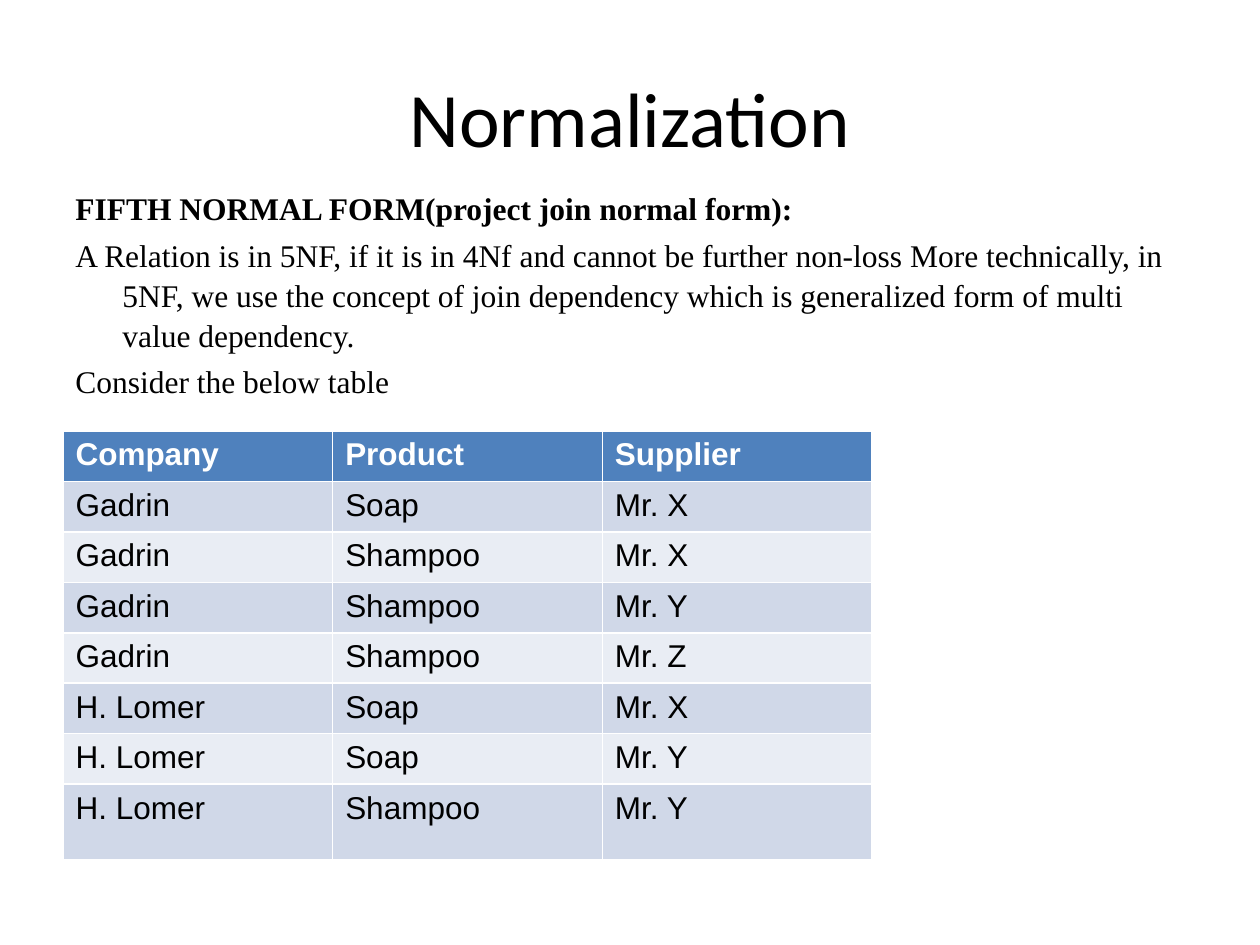
from dataclasses import dataclass

from pptx import Presentation
from pptx.dml.color import RGBColor
from pptx.enum.text import MSO_ANCHOR, PP_ALIGN
from pptx.util import Pt

PX = 914400 // 126
MIDDLE = MSO_ANCHOR.MIDDLE
CENTER = PP_ALIGN.CENTER


@dataclass(frozen=True)
class Theme:
    black = RGBColor.from_string("000000")
    white = RGBColor.from_string("FFFFFF")
    header = RGBColor.from_string("4F81BD")
    bands = (RGBColor.from_string("D0D8E8"), RGBColor.from_string("E9EDF4"))
    title_size = Pt(44)
    text_size = Pt(18)
    paragraph_gap = Pt(3.6)


theme = Theme()


def style_runs(para, name, size, color, bold=False):
    for span in para.runs:
        span.font.name = name
        span.font.size = size
        span.font.color.rgb = color
        span.font.bold = bold


def add_text_box(page, left, top, width, height):
    box = page.shapes.add_textbox(left * PX, top * PX, width * PX, height * PX)
    box.text_frame.word_wrap = True
    return box.text_frame


deck = Presentation()
deck.slide_width = 1260 * PX
deck.slide_height = 945 * PX
page = deck.slides.add_slide(deck.slide_layouts[6])

# Title
title = add_text_box(page, 63, 38, 1134, 158)
title.vertical_anchor = MIDDLE
title.text = "Normalization"
title.paragraphs[0].alignment = CENTER
style_runs(title.paragraphs[0], "Calibri", theme.title_size, theme.black)

# Definition, with hanging indents
definition = [
    "FIFTH NORMAL FORM(project join normal form):",
    "A Relation is in 5NF, if it is in 4Nf and cannot be further non-loss "
    "More technically, in 5NF, we use the concept of join dependency which is "
    "generalized form of multi value dependency.",
    "Consider the below table",
]
body = add_text_box(page, 63, 136, 1144, 756)
body.margin_top = 51 * PX
body.text = "\n".join(definition)
for index, para in enumerate(body.paragraphs):
    properties = para._p.get_or_add_pPr()
    properties.set("marL", str(47 * PX))
    properties.set("indent", str(-47 * PX))
    para.line_spacing = 1.06
    if index > 0:
        para.space_before = theme.paragraph_gap
    style_runs(para, "Times New Roman", theme.text_size, theme.black, bold=index == 0)

# Supply table
records = [
    ("Company", "Product", "Supplier"),
    ("Gadrin", "Soap", "Mr. X"),
    ("Gadrin", "Shampoo", "Mr. X"),
    ("Gadrin", "Shampoo", "Mr. Y"),
    ("Gadrin", "Shampoo", "Mr. Z"),
    ("H. Lomer", "Soap", "Mr. X"),
    ("H. Lomer", "Soap", "Mr. Y"),
    ("H. Lomer", "Shampoo", "Mr. Y"),
]
row_heights = [48] * 7 + [76]
table = page.shapes.add_table(
    len(records), 3, 63 * PX, 431 * PX, 809 * PX, sum(row_heights) * PX
).table
for row_index, record in enumerate(records):
    table.rows[row_index].height = row_heights[row_index] * PX
    is_header = row_index == 0
    fill_color = theme.header if is_header else theme.bands[(row_index - 1) % 2]
    text_color = theme.white if is_header else theme.black
    for column_index, value in enumerate(record):
        cell = table.cell(row_index, column_index)
        cell.fill.solid()
        cell.fill.fore_color.rgb = fill_color
        cell.text_frame.text = value
        style_runs(cell.text_frame.paragraphs[0], "Arial", theme.text_size,
                   text_color, bold=is_header)

deck.save("out.pptx")
